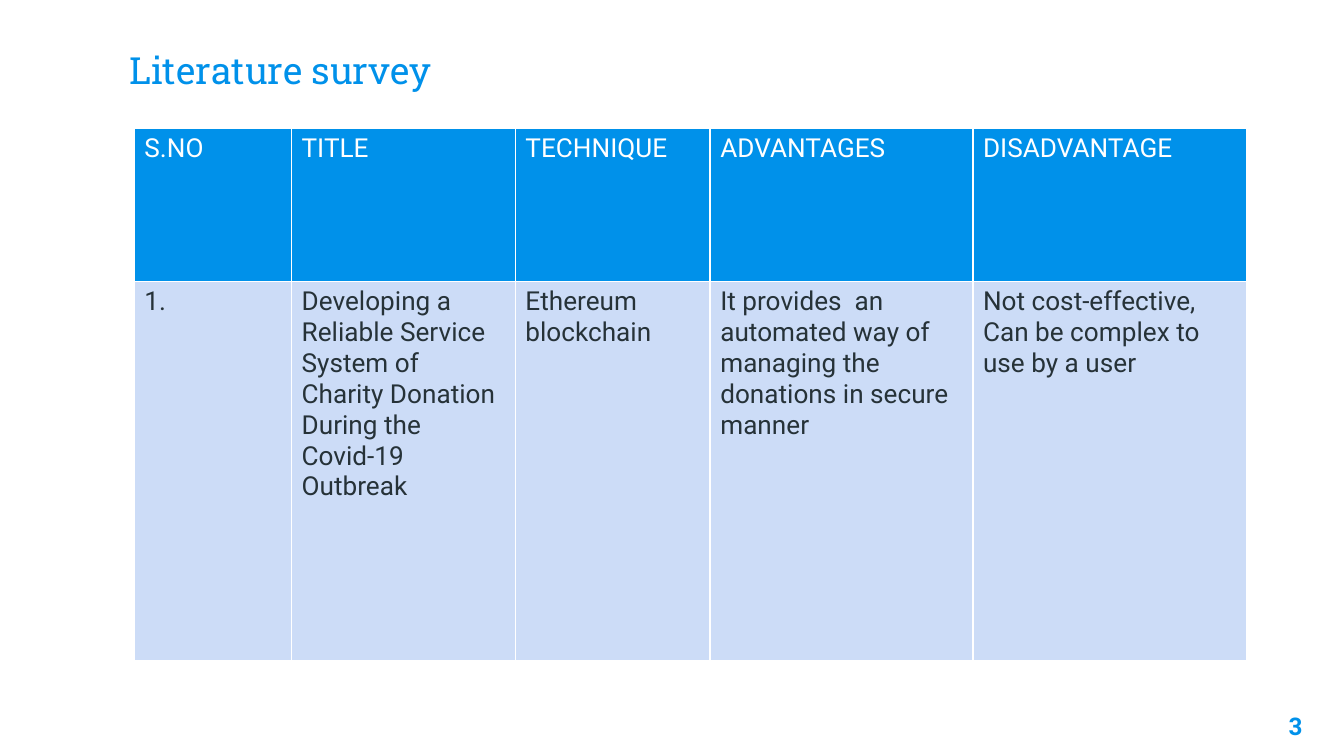
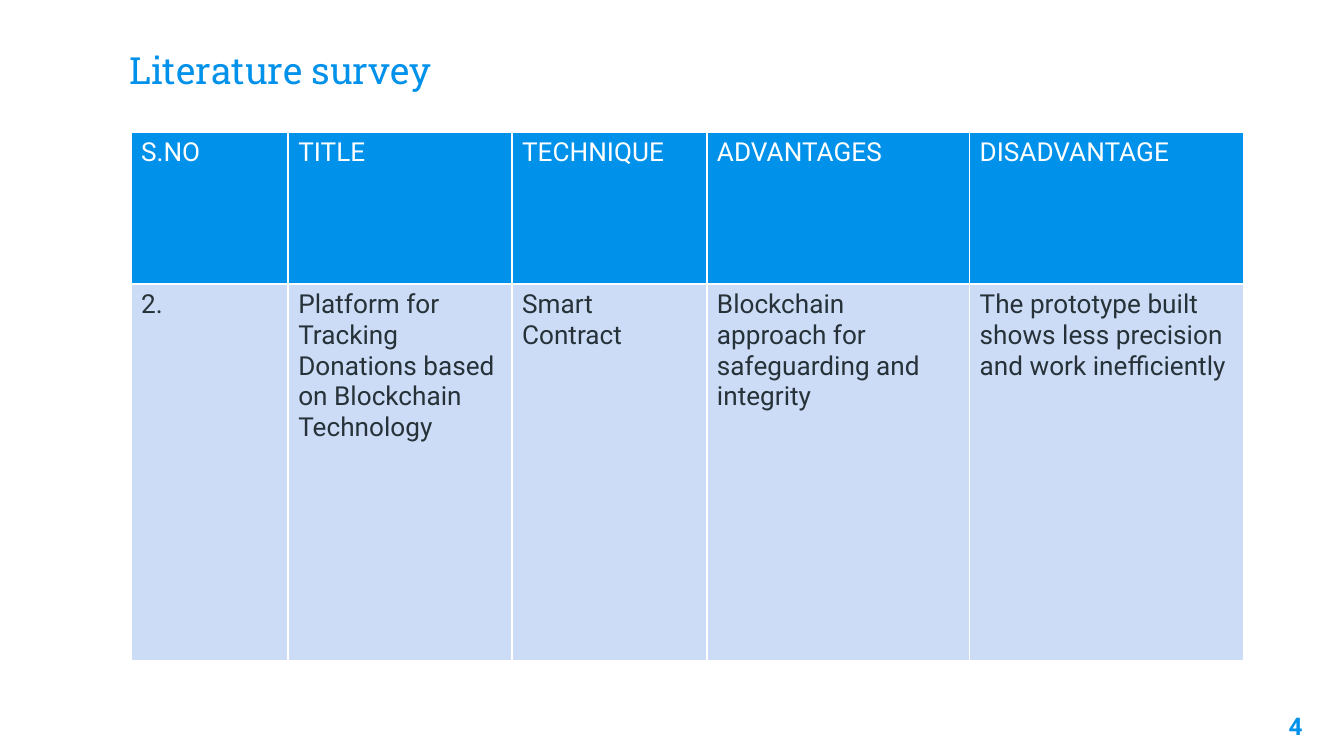
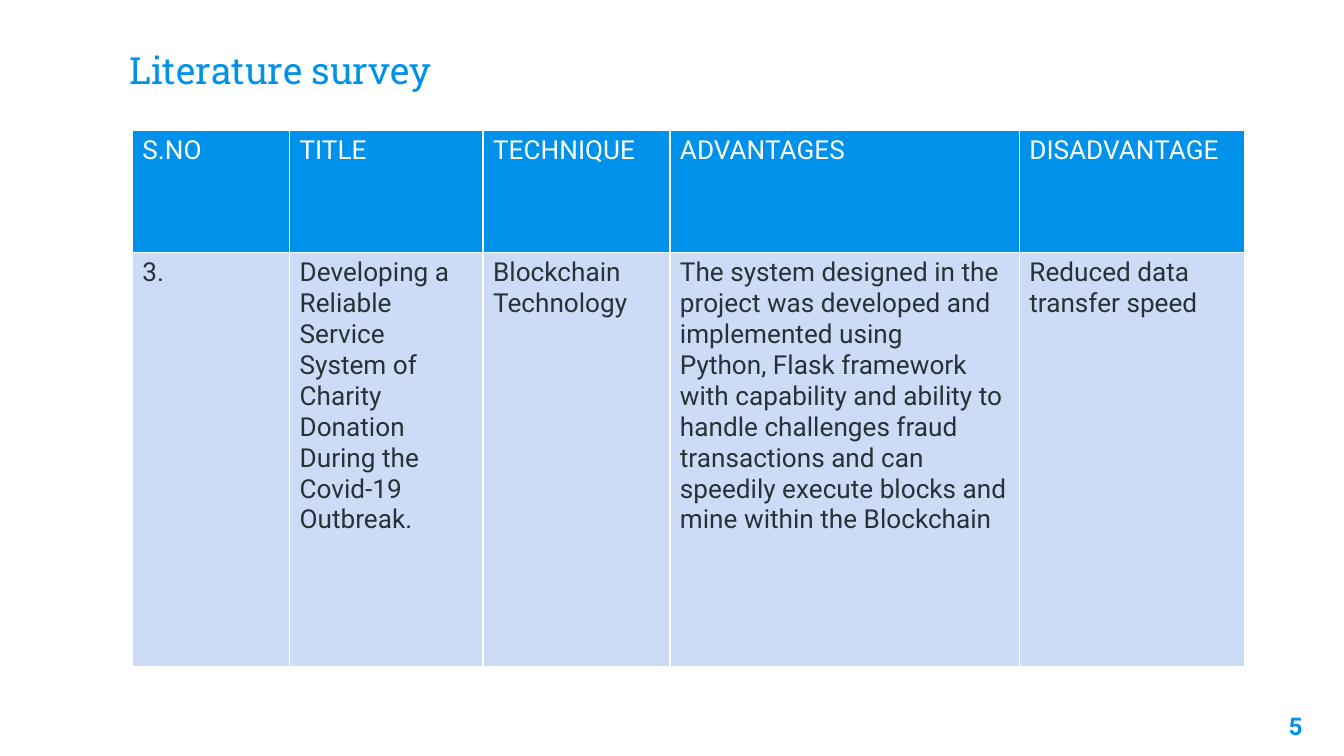
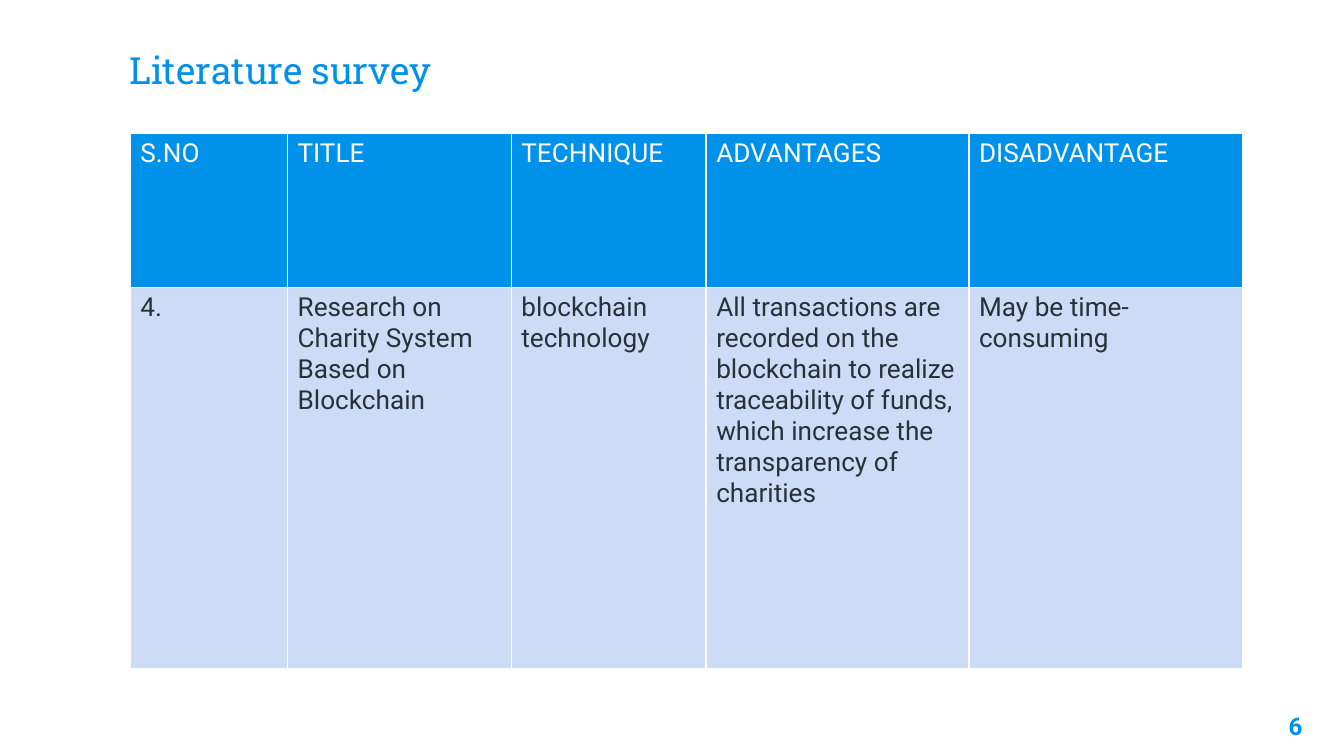
from lxml import etree
from pptx import Presentation
from pptx import util as u
from pptx.dml.color import RGBColor
from pptx.enum import text
from pptx.oxml.ns import qn

PX = 4572  # EMU in one px, 200 px to the inch

BLUE = RGBColor(0x00, 0x91, 0xEA)
PALE = RGBColor(0xCC, 0xDC, 0xF7)
INK = RGBColor(0x26, 0x32, 0x38)
WHITE = RGBColor(0xFF, 0xFF, 0xFF)

TITLE_FONT = {"name": "Roboto Slab", "size": u.Pt(20), "bold": False, "color": BLUE}
NUMBER_FONT = {"name": "Roboto", "size": u.Pt(13), "bold": True, "color": BLUE}
HEADER_FONT = {"name": "Roboto", "size": u.Pt(14), "bold": False, "color": WHITE}
BODY_FONT = {**HEADER_FONT, "color": INK}

FRAME_MARGINS = {f"margin_{side}": 20 * PX for side in ("left", "top", "right", "bottom")}
CELL_MARGINS = {"margin_left": 15 * PX, "margin_right": 15 * PX,
                "margin_top": 7 * PX, "margin_bottom": 7 * PX}

TITLE = "Literature survey"
FIRST_NUMBER = 3
HEADERS = ["S.NO", "TITLE", "TECHNIQUE", "ADVANTAGES", "DISADVANTAGE"]
COLUMNS = [234, 333, 290, 391, 408]
WIDE_ADVANTAGES = [234, 288, 278, 520, 336]

# Each survey: table corner, column widths, row heights, body cells
SURVEYS = [
    ((200, 191), COLUMNS, (228, 565), [
        "1.",
        "Developing a Reliable Service System of Charity Donation "
        "During the Covid-19 Outbreak",
        "Ethereum blockchain",
        "It provides  an automated way of managing the donations in secure manner",
        "Not cost-effective,\nCan be complex to use by a user"]),
    ((195, 197), COLUMNS, (226, 560), [
        "2.",
        "Platform for Tracking Donations based on Blockchain Technology",
        "Smart Contract",
        "Blockchain approach for safeguarding and integrity",
        "The prototype built shows less precision and work inefficiently"]),
    ((197, 194), WIDE_ADVANTAGES, (182, 616), [
        "3.",
        "Developing a Reliable Service System of Charity Donation "
        "During the Covid-19 Outbreak.",
        "Blockchain Technology",
        "The system designed in the project was developed and implemented using\n"
        "Python, Flask framework with capability and ability to handle challenges "
        "fraud transactions and can speedily execute blocks and mine within the "
        "Blockchain",
        "Reduced data transfer speed"]),
    ((194, 198), COLUMNS, (230, 568), [
        "4.",
        "Research on Charity System Based on Blockchain",
        "blockchain technology",
        "All transactions are recorded on the blockchain to realize traceability "
        "of funds,\nwhich increase the transparency of charities",
        "May be time-consuming"]),
]


def set_all(target, values):
    for name, value in values.items():
        setattr(target, name, value)


def place(shape, left, top, width, height):
    set_all(shape, {"left": left * PX, "top": top * PX,
                    "width": width * PX, "height": height * PX})


def write(frame, words, font, align=text.PP_ALIGN.LEFT):
    frame.text = words
    for para in frame.paragraphs:
        para.alignment = align
        for span in para.runs:
            set_all(span.font, {k: v for k, v in font.items() if k != "color"})
            span.font.color.rgb = font["color"]


def add_borders(cell):
    for side in "LRTB":
        line = etree.SubElement(cell._tc.get_or_add_tcPr(), qn(f"a:ln{side}"),
                                w=str(u.Pt(1)))
        fill = etree.SubElement(line, qn("a:solidFill"))
        etree.SubElement(fill, qn("a:srgbClr"), val=str(WHITE))


def format_cell(cell, words, fill, font):
    set_all(cell, CELL_MARGINS)
    write(cell.text_frame, words, font)
    cell.fill.solid()
    cell.fill.fore_color.rgb = fill


def add_survey_table(page, corner, columns, rows, body):
    left, top = corner
    table = page.shapes.add_table(
        len(rows), len(columns), left * PX, top * PX,
        sum(columns) * PX, sum(rows) * PX).table
    for column, width in zip(table.columns, columns):
        column.width = width * PX
    for row, height in zip(table.rows, rows):
        row.height = height * PX
    for index, (header, words) in enumerate(zip(HEADERS, body)):
        # The header row keeps the borders of the table style
        format_cell(table.cell(0, index), header, BLUE, HEADER_FONT)
        add_borders(table.cell(1, index))
        format_cell(table.cell(1, index), words, PALE, BODY_FONT)


def set_title(page):
    box = page.shapes.title
    place(box, 172, 55, 1656, 102)
    set_all(box.text_frame, {**FRAME_MARGINS, "word_wrap": True,
                             "auto_size": text.MSO_AUTO_SIZE.NONE,
                             "vertical_anchor": text.MSO_ANCHOR.BOTTOM})
    write(box.text_frame, TITLE, TITLE_FONT)


def add_page_number(page, number):
    box = page.shapes.add_textbox(0, 0, 0, 0)
    place(box, 1838, 1039, 120, 86)
    set_all(box.text_frame, {**FRAME_MARGINS, "word_wrap": True})
    write(box.text_frame, str(number), NUMBER_FONT, text.PP_ALIGN.RIGHT)


def main():
    deck = Presentation()
    set_all(deck, {"slide_width": 2000 * PX, "slide_height": 1125 * PX})
    title_only = deck.slide_layouts[5]
    for number, survey in enumerate(SURVEYS, FIRST_NUMBER):
        page = deck.slides.add_slide(title_only)
        add_survey_table(page, *survey)
        set_title(page)
        add_page_number(page, number)
    deck.save("out.pptx")


if __name__ == "__main__":
    main()
